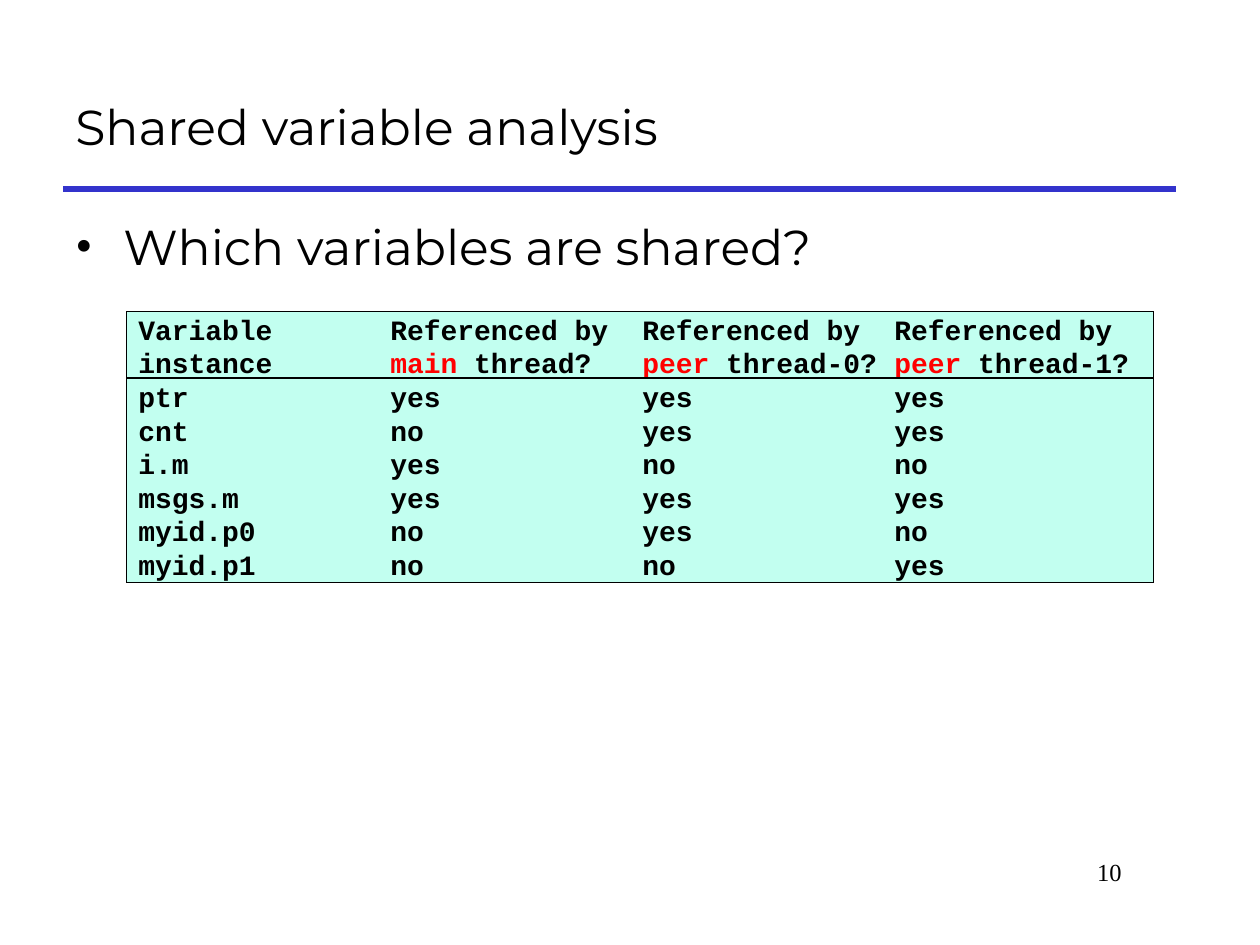
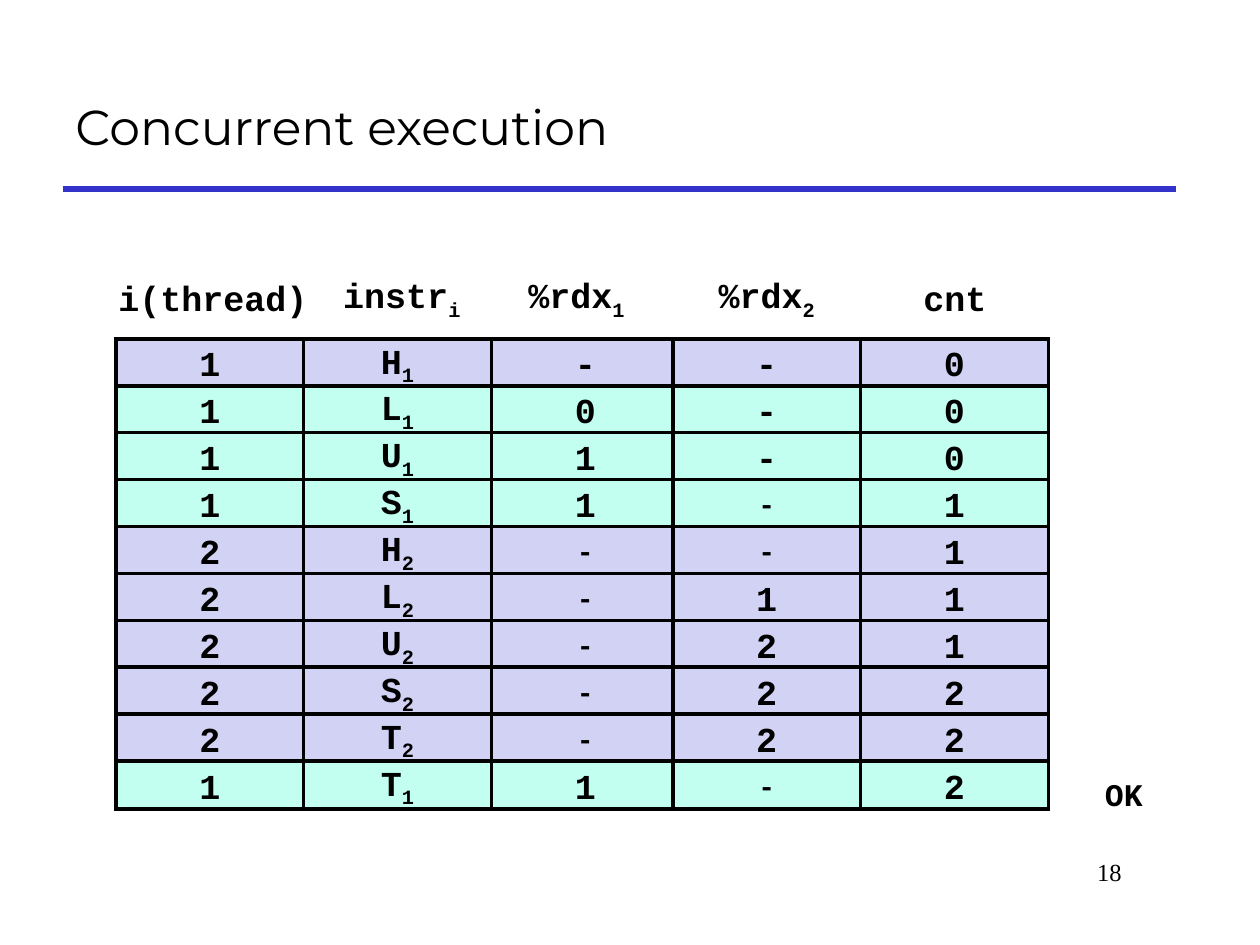
from pptx import Presentation
from pptx.dml.color import RGBColor
from pptx.enum.shapes import MSO_CONNECTOR, MSO_SHAPE
from pptx.enum.text import MSO_ANCHOR, MSO_AUTO_SIZE, PP_ALIGN
from pptx.oxml.ns import qn
from pptx.util import Inches, Pt
from lxml import etree

COLORS = {
    "text": "000000",
    "rule": "3333CC",
    "mint": "C2FFF0",
    "lavender": "D2D2F4",
    "accent": "FF0000",
}
SANS, SERIF, MONO = "Montserrat", "Times New Roman", "Courier New"

SHARED_TABS = (2, 4, 6)
SHARED_HEADER = [
    [("Variable\tReferenced by\tReferenced by\tReferenced by", "text")],
    [("instance\t", "text"), ("main", "accent"), (" thread?\t", "text"),
     ("peer", "accent"), (" thread-0?\t", "text"),
     ("peer", "accent"), (" thread-1?", "text")],
]
SHARED_ROWS = [
    ("ptr", "yes", "yes", "yes"),
    ("cnt", "no", "yes", "yes"),
    ("i.m", "yes", "no", "no"),
    ("msgs.m", "yes", "yes", "yes"),
    ("myid.p0", "no", "yes", "no"),
    ("myid.p1", "no", "no", "yes"),
]

COLUMNS = [
    ("i(thread)", "", 0.83, 1.72, 0.92),
    ("instr", "i", 2.61, 1.16, 2.41),
    ("%rdx", "1", 4.08, 0.99, 3.9),
    ("%rdx", "2", 5.59, 0.99, 5.34),
    ("cnt", "", 7.08, 1, 6.83),
]
TRACE = [
    ("lavender", "1", "H1", "-", "-", "0"),
    ("mint", "1", "L1", "0", "-", "0"),
    ("mint", "1", "U1", "1", "-", "0"),
    ("mint", "1", "S1", "1", "-", "1"),
    ("lavender", "2", "H2", "-", "-", "1"),
    ("lavender", "2", "L2", "-", "1", "1"),
    ("lavender", "2", "U2", "-", "2", "1"),
    ("lavender", "2", "S2", "-", "2", "2"),
    ("lavender", "2", "T2", "-", "2", "2"),
    ("mint", "1", "T1", "1", "-", "2"),
]
TRACE_TOP, ROW_PITCH = 2.69, 3.35 / 9
CELL_WIDTH, CELL_HEIGHT = 1.49, 0.38
FIRST_SMALL_DASH_ROW = 3


def rgb(name):
    """Return the named colour."""
    return RGBColor.from_string(COLORS[name])


def style_run(r, size, font, color="text", bold=False):
    """Format one run."""
    r.font.size = Pt(size)
    r.font.name = font
    r.font.bold = bold
    r.font.color.rgb = rgb(color)


def add_code(p, text, size, color="text", subscript=False):
    """Append a bold monospaced run to a paragraph."""
    r = p.add_run()
    r.text = text
    style_run(r, size, MONO, color, True)
    if subscript:
        r.font._element.set("baseline", "-25000")


def add_text(slide, box, text, size, font, align=PP_ALIGN.LEFT,
             anchor=MSO_ANCHOR.TOP):
    """Add a wrapped one-paragraph text box and return its paragraph."""
    tf = slide.shapes.add_textbox(*map(Inches, box)).text_frame
    tf.word_wrap = True
    tf.vertical_anchor = anchor
    tf.text = text
    p = tf.paragraphs[0]
    p.alignment = align
    style_run(p.runs[0], size, font)
    return p


def add_bullet(slide, box, text):
    """Add a bulleted line of body text."""
    p = add_text(slide, box, text, 28, SANS)
    p.space_before = Pt(5.6)
    pPr = p._p.get_or_add_pPr()
    pPr.set("marL", str(Inches(0.38)))
    pPr.set("indent", str(-Inches(0.38)))
    etree.SubElement(pPr, qn("a:buFont"), typeface=SERIF)
    etree.SubElement(pPr, qn("a:buChar"), char="•")


def set_tabs(p, positions):
    """Give a paragraph left tab stops at the positions in inches."""
    tabs = etree.SubElement(p._p.get_or_add_pPr(), qn("a:tabLst"))
    for position in positions:
        etree.SubElement(tabs, qn("a:tab"), pos=str(Inches(position)), algn="l")


def add_line(slide, start, end, color, width):
    """Add a straight line without shadow."""
    line = slide.shapes.add_connector(
        MSO_CONNECTOR.STRAIGHT, *map(Inches, start + end))
    line.line.color.rgb = rgb(color)
    line.line.width = Pt(width)
    etree.SubElement(line._element.spPr, qn("a:effectLst"))


def add_box(slide, box, fill, width):
    """Add a square-cornered outlined rectangle and return its text frame."""
    sp = slide.shapes.add_shape(MSO_SHAPE.RECTANGLE, *map(Inches, box))
    sp.shadow.inherit = False
    sp.fill.solid()
    sp.fill.fore_color.rgb = rgb(fill)
    sp.line.color.rgb = rgb("text")
    sp.line.width = Pt(width)
    etree.SubElement(sp._element.spPr.find(qn("a:ln")), qn("a:miter"),
                     lim="800000")
    tf = sp.text_frame
    tf.vertical_anchor = MSO_ANCHOR.MIDDLE
    return tf


def add_label(slide, box, text, size, subscript=""):
    """Add a centred monospaced label with an optional subscript."""
    tf = slide.shapes.add_textbox(*map(Inches, box)).text_frame
    tf.word_wrap = False
    tf.auto_size = MSO_AUTO_SIZE.SHAPE_TO_FIT_TEXT
    tf.vertical_anchor = MSO_ANCHOR.MIDDLE
    p = tf.paragraphs[0]
    p.alignment = PP_ALIGN.CENTER
    add_code(p, text, size)
    if subscript:
        add_code(p, subscript, size, subscript=True)


def add_cell(slide, left, top, value, fill, size):
    """Add one cell of the trace, with the digit of an instruction lowered."""
    tf = add_box(slide, (left, top, CELL_WIDTH, CELL_HEIGHT), fill, 2)
    p = tf.paragraphs[0]
    p.alignment = PP_ALIGN.CENTER
    add_code(p, value[0], size)
    if value[1:]:
        add_code(p, value[1:], size, subscript=True)


def add_base(prs, title, number):
    """Add a slide with its rule, page number and title."""
    slide = prs.slides.add_slide(prs.slide_layouts[6])
    add_line(slide, (0.5, 1.5), (9.33, 1.5), "rule", 3)
    add_text(slide, (7.58, 6.75, 1.42, 0.5), number, 14, SERIF,
             align=PP_ALIGN.RIGHT)
    add_text(slide, (0.5, 0.5, 8.83, 1), title, 28, SANS,
             anchor=MSO_ANCHOR.MIDDLE)
    return slide


def add_shared_variables(slide):
    """Add the tabbed panel of variables and the threads that use them."""
    tf = add_box(slide, (1, 2.47, 8.15, 2.15), "mint", 0.25)
    tf.word_wrap = False
    tf.auto_size = MSO_AUTO_SIZE.SHAPE_TO_FIT_TEXT
    tf.margin_top = tf.margin_bottom = 0
    rows = [[("\t".join(row), "text")] for row in SHARED_ROWS]
    for i, row in enumerate(SHARED_HEADER + rows):
        p = tf.add_paragraph() if i else tf.paragraphs[0]
        p.alignment = PP_ALIGN.LEFT
        set_tabs(p, SHARED_TABS)
        for text, color in row:
            add_code(p, text, 16, color)
    add_line(slide, (1, 3), (9.15, 3), "text", 0.75)


def add_trace(slide):
    """Add the execution trace: column labels and a grid of cells."""
    for c, (label, subscript, label_left, width, left) in enumerate(COLUMNS):
        for i, (fill, *values) in enumerate(TRACE):
            small = values[c] == "-" and i >= FIRST_SMALL_DASH_ROW
            add_cell(slide, left, TRACE_TOP + i * ROW_PITCH, values[c], fill,
                     16 if small else 20)
        add_label(slide, (label_left, 2.14, width, 0.44), label, 20, subscript)


def main():
    """Build and save the presentation."""
    prs = Presentation()
    prs.slide_width, prs.slide_height = Inches(10), Inches(7.5)

    slide = add_base(prs, "Shared variable analysis", "10")
    add_bullet(slide, (0.5, 1.67, 8.92, 0.83), "Which variables are shared?")
    add_shared_variables(slide)

    slide = add_base(prs, "Concurrent execution", "18")
    add_trace(slide)
    add_label(slide, (8.67, 6.1, 0.5, 0.4), "OK", 18)

    prs.save("out.pptx")


main()
